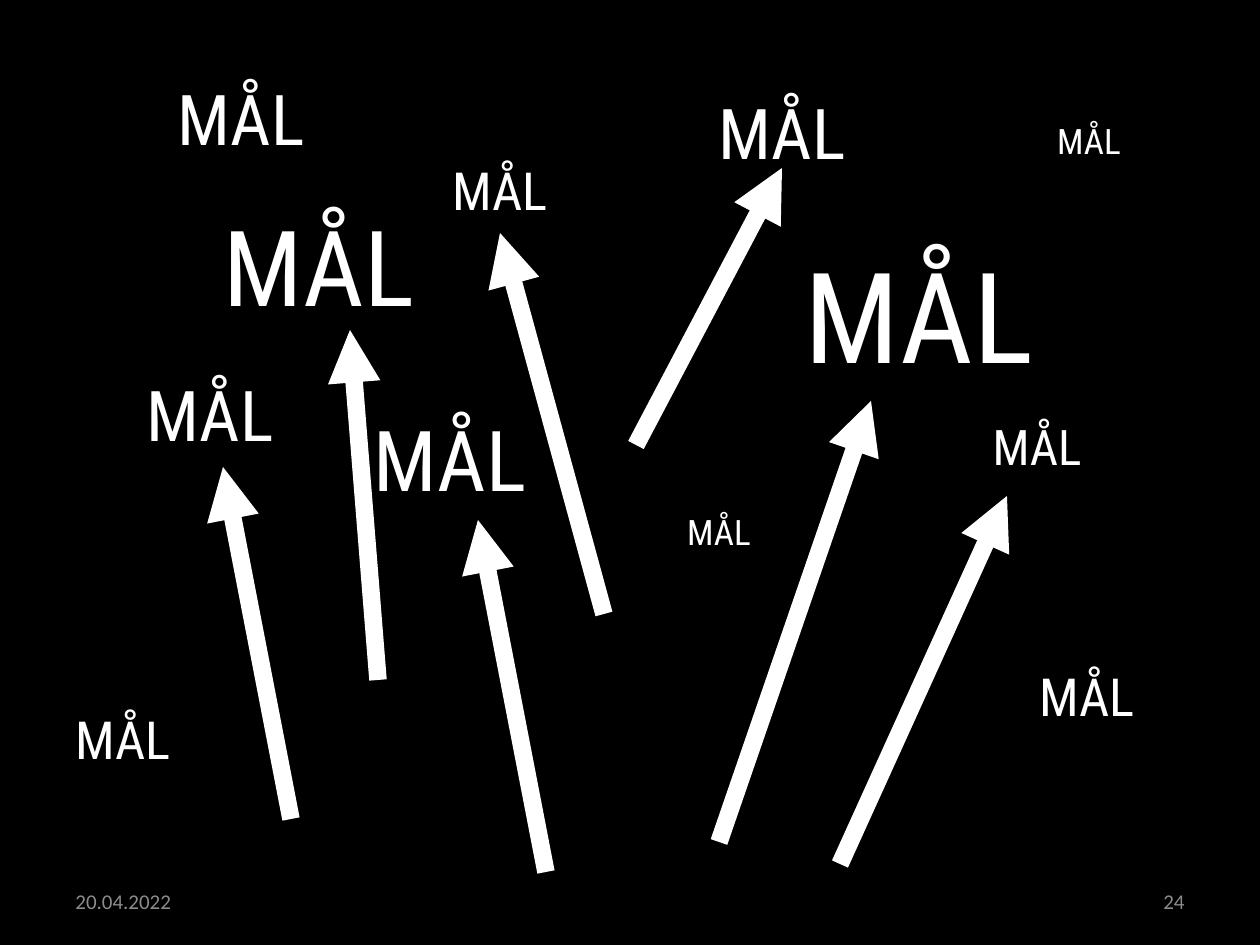
from lxml import etree
from pptx import Presentation
from pptx.dml.color import RGBColor
from pptx.enum.shapes import MSO_CONNECTOR
from pptx.enum.text import MSO_ANCHOR, PP_ALIGN
from pptx.oxml.ns import qn
from pptx.util import Pt

STRAIGHT = MSO_CONNECTOR.STRAIGHT
TOP, MIDDLE = MSO_ANCHOR.TOP, MSO_ANCHOR.MIDDLE
LEFT, CENTER, RIGHT = PP_ALIGN.LEFT, PP_ALIGN.CENTER, PP_ALIGN.RIGHT

PX = 914400 / 126
WIDTH, HEIGHT = 1260, 945
COLORS = {"background": "000000", "goal": "FFFFFF", "footer": "8C8C8C"}
GOAL_FONT, FOOTER_FONT = "Roboto Condensed", "Calibri"
LABEL_HEIGHT = 86

GOALS = [
    (210, 365, 40), (1089, 113, 20), (450, 401, 48), (1037, 410, 28),
    (919, 231, 72), (319, 195, 60), (241, 69, 40), (782, 83, 40),
    (500, 152, 30), (719, 504, 20), (1087, 658, 30), (123, 701, 30),
]
ARROWS = [
    (291, 819, 223, 467), (604, 614, 500, 233), (378, 680, 350, 330),
    (546, 872, 478, 520), (840, 864, 1007, 496), (636, 445, 782, 168),
    (719, 842, 871, 401),
]


def emu(*lengths):
    """Turn px lengths into EMU."""
    return [round(length * PX) for length in lengths]


def rgb(name):
    """Return a named palette colour."""
    return RGBColor.from_string(COLORS[name])


def add_text(s, box, text, size, font, color, align, anchor):
    """Add a one-line text box and return its paragraph."""
    tf = s.shapes.add_textbox(*emu(*box)).text_frame
    tf.word_wrap = True
    tf.vertical_anchor = anchor
    p = tf.paragraphs[0]
    p.alignment = align
    r = p.add_run()
    r.text = text
    r.font.size = Pt(size)
    r.font.name = font
    r.font.color.rgb = rgb(color)
    return p


def add_goal(s, center, top, size):
    """Add a goal label centred on a given x position."""
    box = (center - WIDTH // 2, top, WIDTH, LABEL_HEIGHT)
    p = add_text(s, box, "MÅL", size, GOAL_FONT, "goal", CENTER, TOP)
    p.space_before = Pt(0)
    spacing = p._p.pPr.find(qn("a:spcBef"))
    spacing.clear()
    etree.SubElement(spacing, qn("a:spcPct"), val="20000")


def add_arrow(s, *ends):
    """Add a thick arrow with a triangle at its end."""
    arrow = s.shapes.add_connector(STRAIGHT, *emu(*ends))
    arrow.line.width = Pt(10)
    arrow.line.color.rgb = rgb("goal")
    etree.SubElement(arrow.line._get_or_add_ln(), qn("a:tailEnd"), type="triangle")
    etree.SubElement(arrow._element.spPr, qn("a:effectLst"))


def add_footer(s, left, top, width, height):
    """Add the date and page number at the two ends of the footer."""
    part = 294
    for x, text, align in ((left, "20.04.2022", LEFT),
                           (left + width - part, "24", RIGHT)):
        add_text(s, (x, top, part, height), text, 12, FOOTER_FONT, "footer", align, MIDDLE)


def build_goals_slide(prs):
    """Build the slide of scattered goals and arrows."""
    s = prs.slides.add_slide(prs.slide_layouts[6])
    s.background.fill.solid()
    s.background.fill.fore_color.rgb = rgb("background")
    add_footer(s, 63, 876, 1134, 50)
    for goal in GOALS:
        add_goal(s, *goal)
    for arrow in ARROWS:
        add_arrow(s, *arrow)


def main():
    """Create and save the presentation."""
    prs = Presentation()
    prs.slide_width, prs.slide_height = emu(WIDTH, HEIGHT)
    build_goals_slide(prs)
    prs.save("out.pptx")


if __name__ == "__main__":
    main()
